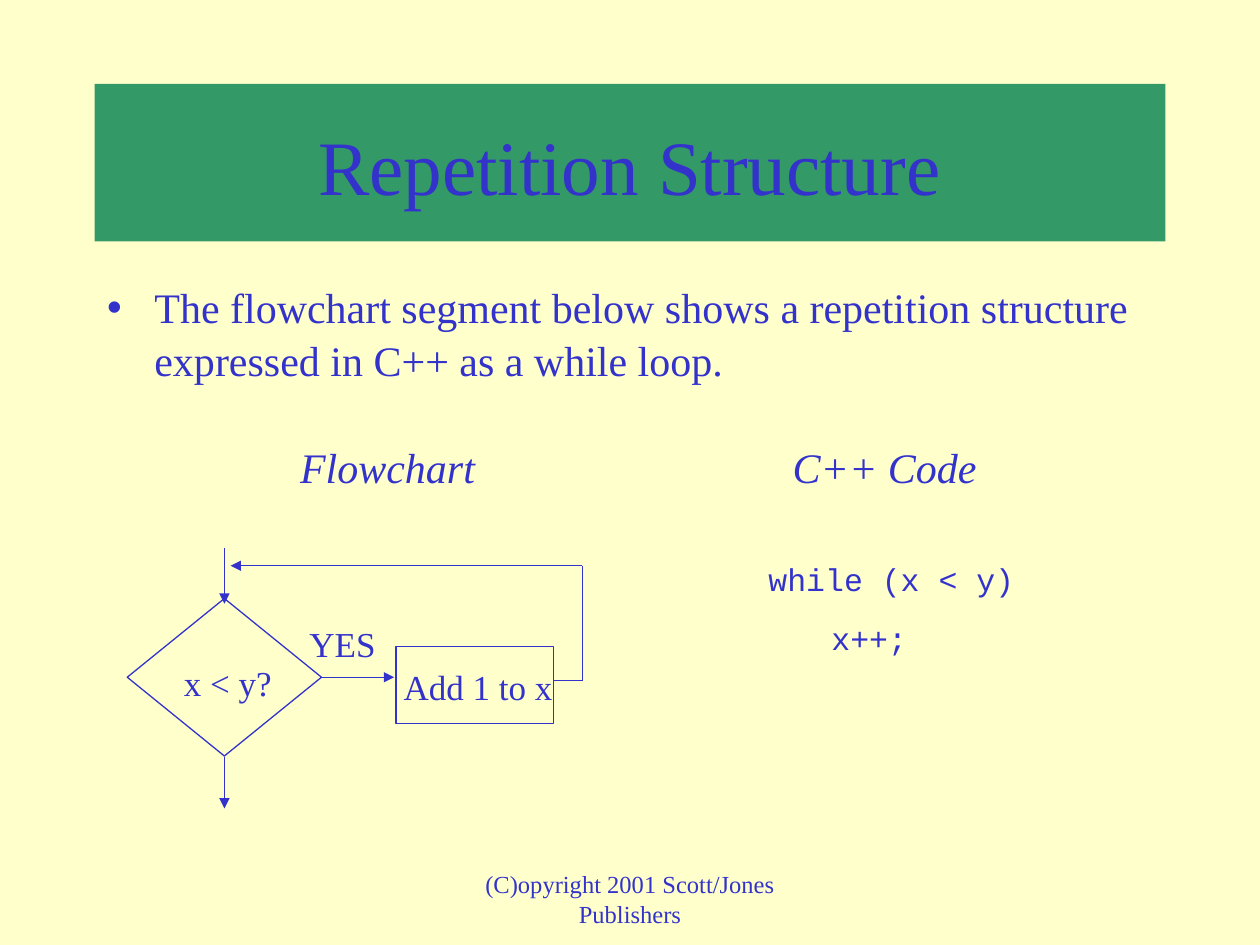
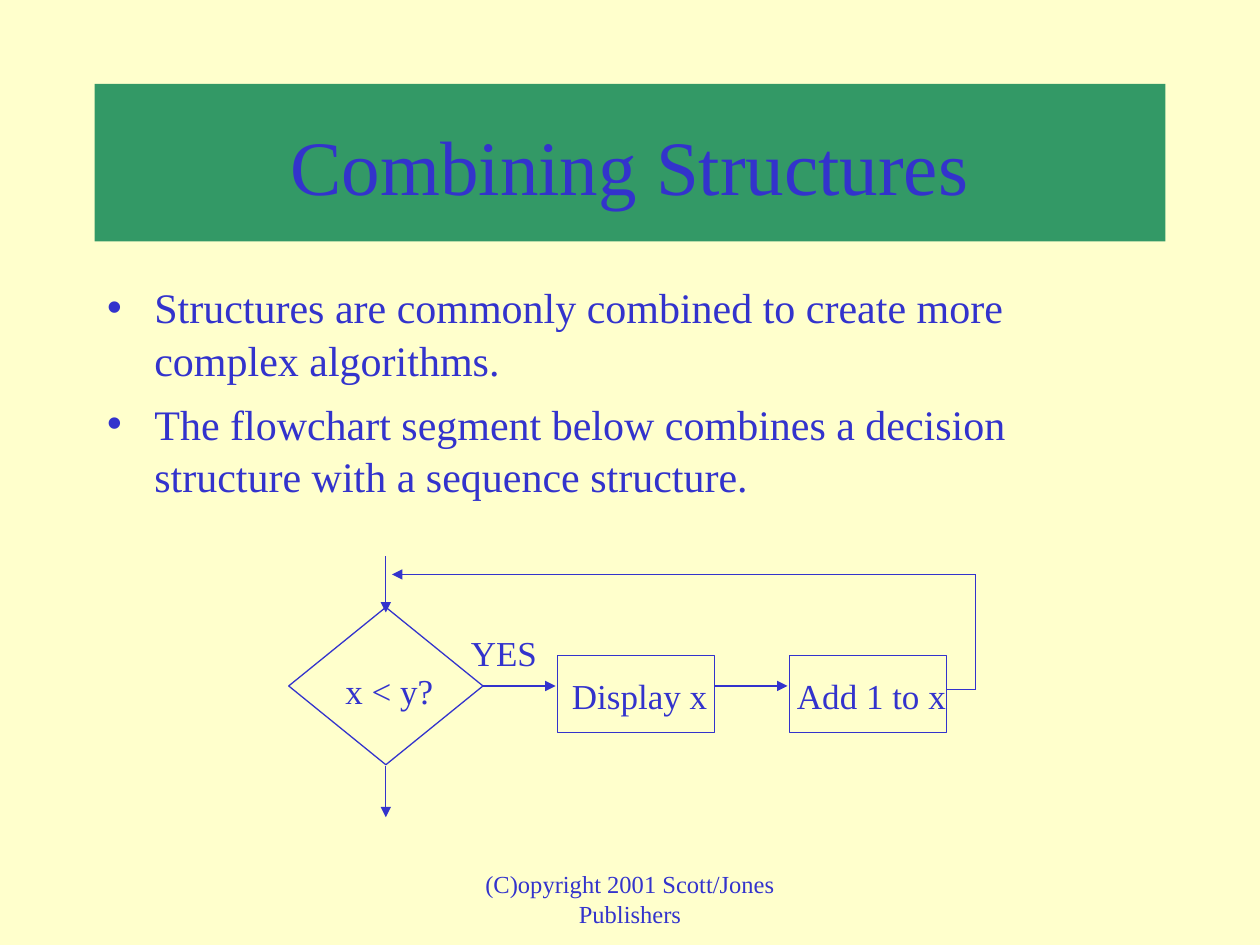
from lxml.etree import SubElement
from pptx import Presentation
from pptx.dml.color import RGBColor
from pptx.enum.shapes import MSO_CONNECTOR, MSO_SHAPE
from pptx.enum.text import MSO_ANCHOR, MSO_AUTO_SIZE, PP_ALIGN
from pptx.oxml.ns import qn
from pptx.util import Pt

SLIDES = [
    {
        "title": "Repetition Structure",
        "bullets": ["The flowchart segment below shows a repetition structure "
                    "expressed in C++ as a while loop."],
        "headings": [("Flowchart", 159), ("C++ Code", 443)],
        "code": ["while (x < y)", "\tx++;"],
        "steps": ["Add 1 to x"],
        "chart_origin": (72.75, 342),
    },
    {
        "title": "Combining Structures",
        "bullets": ["Structures are commonly combined to create more complex algorithms.",
                    "The flowchart segment below combines a decision structure "
                    "with a sequence structure."],
        "headings": [],
        "code": [],
        "steps": ["Display x", "Add 1 to x"],
        "chart_origin": (165, 347),
    },
]
QUESTION = "x < y?"
ANSWER = "YES"
FOOTER = "(C)opyright 2001 Scott/Jones Publishers"

CREAM = RGBColor(0xFF, 0xFF, 0xCC)
GREEN = RGBColor(0x33, 0x99, 0x66)
BLUE = RGBColor(0x33, 0x33, 0xCC)
SERIF = "Times New Roman"
MONO = "Courier New"

DIAMOND_WIDTH, DIAMOND_HEIGHT = 111, 90
STEP_WIDTH, STEP_HEIGHT = 90, 44
STEP_LEFT, STEP_TOP, STEP_PITCH = 153.5, 27.5, 132.5
LOOP_RISE, LOOP_REACH = 18.7, 16.5


def place(shape, left, top, width, height):
    shape.left, shape.top = Pt(left), Pt(top)
    shape.width, shape.height = Pt(width), Pt(height)


def write(shape, lines, size, align=PP_ALIGN.LEFT, font=SERIF, italic=False,
          gap=0, anchor=MSO_ANCHOR.TOP, spacing=1.05):
    frame = shape.text_frame
    frame.text = "\n".join(lines)
    frame.word_wrap = True
    frame.auto_size = MSO_AUTO_SIZE.NONE
    frame.vertical_anchor = anchor
    for index, para in enumerate(frame.paragraphs):
        para.alignment = align
        para.line_spacing = spacing
        para.space_before = Pt(gap if index else 0)
        for span in para.runs:
            span.font.name = font
            span.font.size = Pt(size)
            span.font.italic = italic
            span.font.color.rgb = BLUE


def add_text(page, lines, left, top, width, height, size, **style):
    box = page.shapes.add_textbox(Pt(left), Pt(top), Pt(width), Pt(height))
    write(box, lines, size, **style)


def add_label(page, text, left, top, width, height=32, size=20, **style):
    add_text(page, [text], left, top, width, height, size, align=PP_ALIGN.CENTER, **style)


def add_outline(page, kind, left, top, width, height):
    shape = page.shapes.add_shape(kind, Pt(left), Pt(top), Pt(width), Pt(height))
    shape.shadow.inherit = False
    shape.fill.background()
    shape.line.color.rgb = BLUE
    shape.line.width = Pt(0.75)


def add_line(page, start, end, arrow=False):
    points = [Pt(value) for value in (*start, *end)]
    line = page.shapes.add_connector(MSO_CONNECTOR.STRAIGHT, *points)
    line.line.color.rgb = BLUE
    line.line.width = Pt(0.75)
    if arrow:
        SubElement(line.line._get_or_add_ln(), qn("a:tailEnd"), type="triangle")
    SubElement(line._element.spPr, qn("a:effectLst"))


def add_flowchart(page, steps, left, top):
    middle_x = left + DIAMOND_WIDTH / 2
    middle_y = top + DIAMOND_HEIGHT / 2
    bottom = top + DIAMOND_HEIGHT
    add_outline(page, MSO_SHAPE.FLOWCHART_DECISION, left, top, DIAMOND_WIDTH, DIAMOND_HEIGHT)
    add_label(page, QUESTION, left + 20, top + 31, 75)
    add_label(page, ANSWER, left + 92.5, top + 9, 61)
    add_line(page, (middle_x, top - 29), (middle_x, top + 3), arrow=True)
    add_line(page, (middle_x, bottom + 0.5), (middle_x, bottom + 30), arrow=True)

    right = left + DIAMOND_WIDTH
    for index, step in enumerate(steps):
        step_left = left + STEP_LEFT + index * STEP_PITCH
        step_top = top + STEP_TOP
        add_outline(page, MSO_SHAPE.RECTANGLE, step_left, step_top, STEP_WIDTH, STEP_HEIGHT)
        add_label(page, step, step_left - 4, step_top + 6, 102)
        add_line(page, (right, middle_y), (step_left - 1, middle_y), arrow=True)
        right = step_left + STEP_WIDTH

    loop_x, loop_top, loop_bottom = right + LOOP_REACH, top - LOOP_RISE, middle_y + 2
    add_line(page, (right, loop_bottom), (loop_x, loop_bottom))
    add_line(page, (loop_x, loop_bottom), (loop_x, loop_top))
    add_line(page, (loop_x, loop_top), (middle_x + 3.5, loop_top), arrow=True)


def add_page(deck, content):
    page = deck.slides.add_slide(deck.slide_layouts[1])
    title, body = page.placeholders
    place(title, 54, 48, 612, 90)
    title.fill.solid()
    title.fill.fore_color.rgb = GREEN
    write(title, [content["title"]], 44, align=PP_ALIGN.CENTER, anchor=MSO_ANCHOR.MIDDLE)
    place(body, 54, 156, 612, 324)
    write(body, content["bullets"], 24, gap=6)
    for heading, left in content["headings"]:
        add_label(page, heading, left, 247.5, 125, 36, 24, italic=True)
    if content["code"]:
        add_text(page, content["code"], 432, 315.5, 231, 62, 18, font=MONO, gap=11.2)
    add_flowchart(page, content["steps"], *content["chart_origin"])
    add_label(page, FOOTER, 246, 492, 228, 36, 14)


def main():
    deck = Presentation()
    deck.slide_width, deck.slide_height = Pt(720), Pt(540)
    background = deck.slide_master.background.fill
    background.solid()
    background.fore_color.rgb = CREAM
    for content in SLIDES:
        add_page(deck, content)
    deck.save("out.pptx")


if __name__ == "__main__":
    main()
